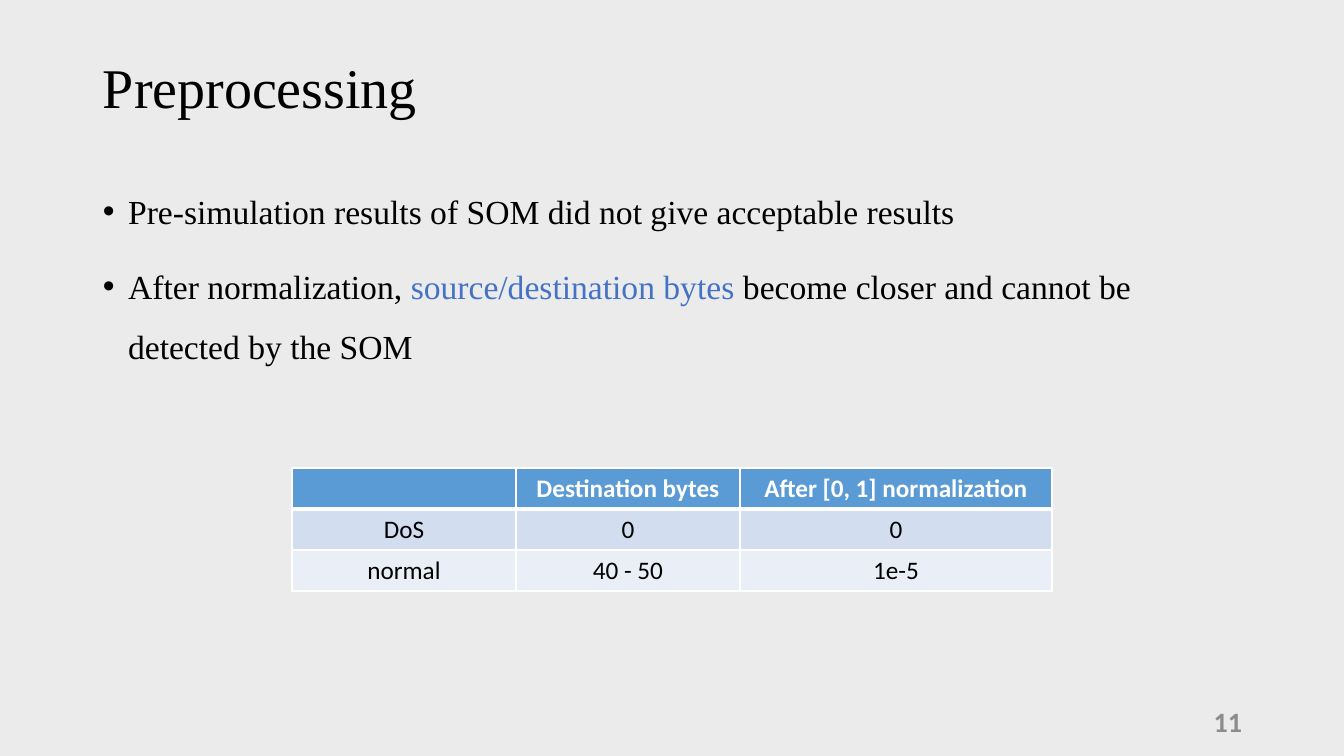
from lxml import etree
from pptx import Presentation
from pptx.dml.color import RGBColor
from pptx.enum.text import MSO_ANCHOR, PP_ALIGN
from pptx.oxml import parse_xml
from pptx.oxml.ns import nsdecls, qn
from pptx.util import Pt

PX = 914400 / 100.8


def color(hex_string):
    return RGBColor.from_string(hex_string)


def add_text(box, paragraphs, font_name, size, anchor, bold=False):
    """Add a text box; each paragraph is a list of (text, colour) runs."""
    shape = slide.shapes.add_textbox(*(round(value * PX) for value in box))
    text_frame = shape.text_frame
    text_frame.word_wrap = True
    text_frame.vertical_anchor = anchor
    for index, runs in enumerate(paragraphs):
        paragraph = text_frame.add_paragraph() if index else text_frame.paragraphs[0]
        for text, run_color in runs:
            run = paragraph.add_run()
            run.text = text
            run.font.name = font_name
            run.font.size = Pt(size)
            run.font.bold = bold
            run.font.color.rgb = color(run_color)
    return text_frame.paragraphs


presentation = Presentation()
presentation.slide_width = round(1344 * PX)
presentation.slide_height = round(756 * PX)
slide = presentation.slides.add_slide(presentation.slide_layouts[6])
slide.background.fill.solid()
slide.background.fill.fore_color.rgb = color("EBEBEB")

# Title
title = add_text((93, 17, 1159, 146), [[("Preprocessing", "000000")]],
                 "Times New Roman", 40, MSO_ANCHOR.MIDDLE)
title[0].line_spacing = 0.9

# Bulleted findings
findings = [
    [("Pre-simulation results of SOM did not give acceptable results", "000000")],
    [("After normalization, ", "000000"),
     ("source/destination bytes ", "4472C4"),
     ("become closer and cannot be detected by the SOM", "000000")],
]
for paragraph in add_text((93, 166, 1159, 480), findings,
                          "Times New Roman", 24, MSO_ANCHOR.TOP):
    paragraph.line_spacing = 1.5
    paragraph.space_before = Pt(10)
    properties = paragraph._p.get_or_add_pPr()
    properties.set("marL", "228600")
    properties.set("indent", "-228600")
    etree.SubElement(properties, qn("a:buFont")).set("typeface", "Arial")
    etree.SubElement(properties, qn("a:buChar")).set("char", "•")

# Normalization table
rows = [
    ("", "Destination bytes", "After [0, 1] normalization"),
    ("DoS", "0", "0"),
    ("normal", "40 - 50", "1e-5"),
]
row_fills = ["5B9BD5", "D2DEEF", "EAEFF7"]
column_widths = [224, 224, 312]
row_height = 41
table = slide.shapes.add_table(
    len(rows), len(column_widths), round(292 * PX), round(468 * PX),
    round(sum(column_widths) * PX), round(len(rows) * row_height * PX)).table
for column, width in zip(table.columns, column_widths):
    column.width = round(width * PX)
for row_index, texts in enumerate(rows):
    table.rows[row_index].height = round(row_height * PX)
    header = row_index == 0
    # The line under the header is thicker than the others
    border_widths = {"L": 1, "R": 1, "T": 3 if row_index == 1 else 1, "B": 3 if header else 1}
    for column_index, text in enumerate(texts):
        cell = table.cell(row_index, column_index)
        cell.vertical_anchor = MSO_ANCHOR.MIDDLE
        cell.fill.solid()
        cell.fill.fore_color.rgb = color(row_fills[row_index])
        paragraph = cell.text_frame.paragraphs[0]
        paragraph.text = text
        paragraph.alignment = PP_ALIGN.CENTER
        for run in paragraph.runs:
            run.font.name = "Calibri"
            run.font.size = Pt(18)
            run.font.bold = header
            run.font.color.rgb = color("FFFFFF" if header else "000000")
        cell_properties = cell._tc.get_or_add_tcPr()
        for position, (side, width) in enumerate(border_widths.items()):
            cell_properties.insert(position, parse_xml(
                f'<a:ln{side} {nsdecls("a")} w="{Pt(width)}"><a:solidFill>'
                f'<a:srgbClr val="FFFFFF"/></a:solidFill></a:ln{side}>'))

# Slide number
number = add_text((950, 701, 302, 40), [[("11", "8C8C8C")]],
                  "Calibri", 20, MSO_ANCHOR.MIDDLE, bold=True)
number[0].alignment = PP_ALIGN.RIGHT

presentation.save("out.pptx")
